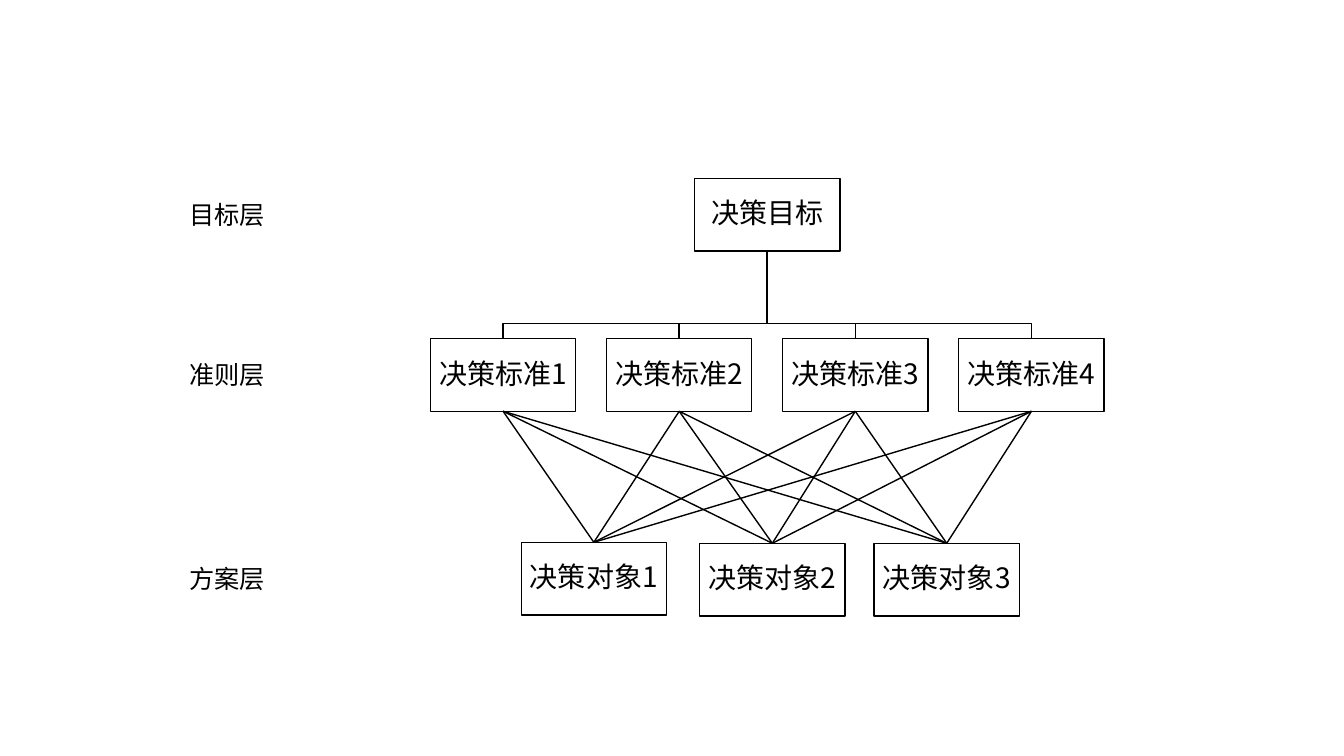
from dataclasses import dataclass
from itertools import product

from lxml.etree import SubElement
from pptx import Presentation
from pptx.dml.color import RGBColor
from pptx.enum.shapes import MSO_CONNECTOR, MSO_SHAPE
from pptx.enum.text import MSO_ANCHOR, MSO_AUTO_SIZE, PP_ALIGN
from pptx.oxml.ns import qn
from pptx.util import Inches, Pt


@dataclass(frozen=True)
class Theme:
    """Colours, font, type sizes and line widths."""
    ink: RGBColor = RGBColor(0, 0, 0)
    paper: RGBColor = RGBColor(255, 255, 255)
    font: str = "Noto Sans CJK SC"
    box_size: int = 20
    label_size: int = 18
    line: float = 1
    trunk: float = 1.5


T = Theme()

# Content: layer labels with their tops, then boxes as (text, left, top)
LAYERS = [("目标层", 1.93), ("准则层", 3.52), ("方案层", 5.54)]
GOAL = ("决策目标", 6.89, 1.77)
CRITERIA = ["决策标准1", "决策标准2", "决策标准3", "决策标准4"]
OPTIONS = [("决策对象1", 5.17, 5.38), ("决策对象2", 6.94, 5.39),
           ("决策对象3", 8.67, 5.39)]

# Geometry in inches
BOX_W, BOX_H = 1.44, 0.72
CRITERIA_LEFT, CRITERIA_RIGHT, CRITERIA_TOP = 4.27, 9.51, 3.36
BRANCH_TOP, BUS_Y = 3.05, 3.21
LABEL_LEFT, LABEL_W, LABEL_H = 1.78, 0.96, 0.4

pitch = (CRITERIA_RIGHT - CRITERIA_LEFT) / (len(CRITERIA) - 1)
criteria = [(text, CRITERIA_LEFT + i * pitch, CRITERIA_TOP)
            for i, text in enumerate(CRITERIA)]


def top_of(box):
    """Return the middle of a box's top edge."""
    _, left, top = box
    return left + BOX_W / 2, top


def bottom_of(box):
    """Return the middle of a box's bottom edge."""
    x, y = top_of(box)
    return x, y + BOX_H


def write(tf, text, size, align=PP_ALIGN.LEFT, spacing=None, after=None):
    """Put one formatted paragraph into a text frame."""
    p = tf.paragraphs[0]
    p.alignment, p.line_spacing, p.space_after = align, spacing, after
    r = p.add_run()
    r.text = text
    r.font.size = Pt(size)
    r.font.name = T.font
    r.font.color.rgb = T.ink
    SubElement(r.font._element, qn("a:ea")).set("typeface", T.font)


def stroke(sp, width=T.line):
    """Give a shape or connector the ink line."""
    sp.line.color.rgb = T.ink
    sp.line.width = Pt(width)


def add_box(s, box):
    """Add a framed box with centred text."""
    text, left, top = box
    sp = s.shapes.add_shape(MSO_SHAPE.RECTANGLE, Inches(left), Inches(top),
                            Inches(BOX_W), Inches(BOX_H))
    sp.shadow.inherit = False
    sp.fill.solid()
    sp.fill.fore_color.rgb = T.paper
    stroke(sp)
    tf = sp.text_frame
    tf.word_wrap = True
    tf.vertical_anchor = MSO_ANCHOR.MIDDLE
    tf.margin_left = tf.margin_right = Inches(0.02)
    tf.margin_top = tf.margin_bottom = Inches(0.02)
    write(tf, text, T.box_size, align=PP_ALIGN.CENTER, spacing=0.9,
          after=Pt(T.box_size * 0.35))


def add_line(s, start, end, width=T.line):
    """Add a straight connector between two points."""
    sp = s.shapes.add_connector(MSO_CONNECTOR.STRAIGHT,
                                *[Inches(v) for v in (*start, *end)])
    stroke(sp, width)
    SubElement(sp._element.spPr, qn("a:effectLst"))


def add_branch(s, points):
    """Add an open polyline through the points."""
    first, *rest = [(Inches(x), Inches(y)) for x, y in points]
    builder = s.shapes.build_freeform(*first)
    builder.add_line_segments(rest, close=False)
    sp = builder.convert_to_shape()
    sp.shadow.inherit = False
    sp.fill.background()
    stroke(sp)


def add_label(s, text, top):
    """Add the name of a layer."""
    tf = s.shapes.add_textbox(Inches(LABEL_LEFT), Inches(top),
                              Inches(LABEL_W), Inches(LABEL_H)).text_frame
    tf.word_wrap = False
    tf.auto_size = MSO_AUTO_SIZE.SHAPE_TO_FIT_TEXT
    write(tf, text, T.label_size)


prs = Presentation()
prs.slide_width, prs.slide_height = Inches(13.33), Inches(7.5)
s = prs.slides.add_slide(prs.slide_layouts[6])

trunk_x, goal_bottom = bottom_of(GOAL)
for criterion in criteria:
    x, y = top_of(criterion)
    add_branch(s, [(trunk_x, BRANCH_TOP), (trunk_x, BUS_Y), (x, BUS_Y), (x, y)])
for box in [GOAL, *criteria, *OPTIONS]:
    add_box(s, box)
for option, criterion in product(OPTIONS, criteria):
    add_line(s, top_of(option), bottom_of(criterion))
add_line(s, (trunk_x, BUS_Y), (trunk_x, goal_bottom), width=T.trunk)
for text, top in LAYERS:
    add_label(s, text, top)

prs.save("out.pptx")
